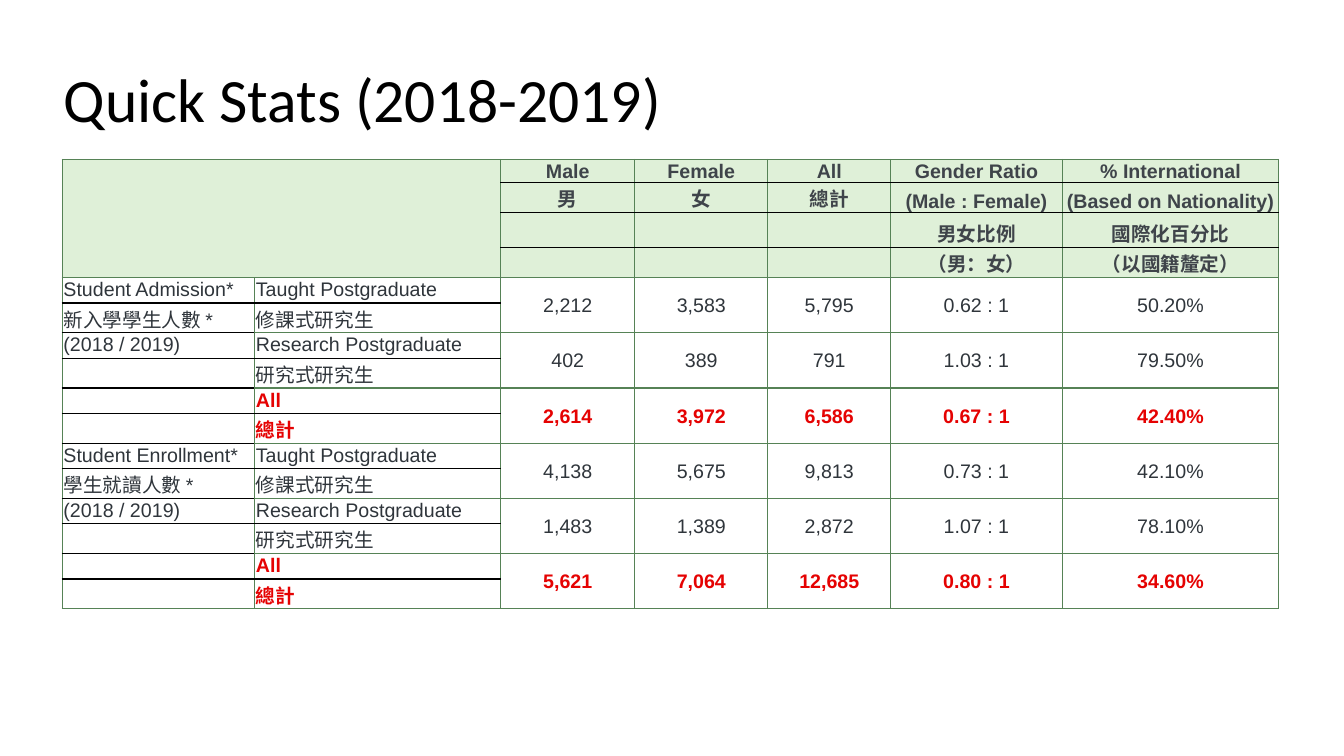
from lxml import etree
from pptx import Presentation
from pptx.dml.color import RGBColor
from pptx.enum.text import MSO_ANCHOR, PP_ALIGN
from pptx.oxml.ns import qn
from pptx.util import Cm, Pt

LEFT, CENTER = PP_ALIGN.LEFT, PP_ALIGN.CENTER
TOP, MIDDLE, BOTTOM = MSO_ANCHOR.TOP, MSO_ANCHOR.MIDDLE, MSO_ANCHOR.BOTTOM
TITLE_ONLY = 5

BLACK, GREEN, PALE_GREEN = "000000", "568256", "DFF0D8"
HEADING_INK, BODY_INK, TOTAL_INK = "3F444A", "2F353B", "E50202"

HEADER_ROWS, LABEL_COLUMNS = 4, 2
COLUMN_WIDTHS = [4.85, 6.2, 3.38, 3.35, 3.1, 4.32, 5.46]
HEADER_HEIGHTS = [0.56, 0.74, 0.88, 0.76]
PAIR_HEIGHTS = [0.64, 0.74]

HEADINGS = [
    ["Male", "Female", "All", "Gender Ratio", "% International"],
    ["男", "女", "總計", "(Male : Female)", "(Based on Nationality)"],
    ["", "", "", "男女比例", "國際化百分比"],
    ["", "", "", "（男：女）", "（以國籍釐定）"],
]
LEVELS = [
    ("Taught Postgraduate", "修課式研究生"),
    ("Research Postgraduate", "研究式研究生"),
    ("All", "總計"),
]
GROUPS = [
    (["Student Admission*", "新入學學生人數 *", "(2018 / 2019)"], [
        ["2,212", "3,583", "5,795", "0.62 : 1", "50.20%"],
        ["402", "389", "791", "1.03 : 1", "79.50%"],
        ["2,614", "3,972", "6,586", "0.67 : 1", "42.40%"],
    ]),
    (["Student Enrollment*", "學生就讀人數 *", "(2018 / 2019)"], [
        ["4,138", "5,675", "9,813", "0.73 : 1", "42.10%"],
        ["1,483", "1,389", "2,872", "1.07 : 1", "78.10%"],
        ["5,621", "7,064", "12,685", "0.80 : 1", "34.60%"],
    ]),
]


def color(value):
    return RGBColor.from_string(value)


def apply(target, formats):
    for name, value in formats.items():
        setattr(target, name, value)


def stats_rows():
    """Return the table's text, row by row."""
    rows = [["", ""] + headings for headings in HEADINGS]
    for names, values in GROUPS:
        names = names + [""] * (2 * len(LEVELS) - len(names))
        for index, (english, chinese) in enumerate(LEVELS):
            rows.append([names[2 * index], english] + values[index])
            rows.append([names[2 * index + 1], chinese] + [""] * len(values[index]))
    return rows


def line_below(row, column, last_row):
    """Return the colour of the rule under a cell."""
    if column >= LABEL_COLUMNS:
        black = 0 <= row < HEADER_ROWS - 1
    elif column == 0:
        black = HEADER_ROWS <= row < last_row
    else:
        black = row >= HEADER_ROWS and row % 2 == 0
    return BLACK if black else GREEN


class StatsPage:
    def __init__(self, deck):
        self.page = deck.slides.add_slide(deck.slide_layouts[TITLE_ONLY])
        self.title_font = {"name": "Calibri", "size": Pt(44)}
        self.cell_font = {"name": "Arial", "size": Pt(14)}
        self.margins = {"margin_left": Cm(0.03), "margin_right": Cm(0.03),
                        "margin_top": Cm(0.03), "margin_bottom": 0}

    def title(self, text, left, top, width, height):
        box = self.page.shapes.title
        apply(box, {"left": Cm(left), "top": Cm(top),
                    "width": Cm(width), "height": Cm(height)})
        box.text_frame.vertical_anchor = MIDDLE
        para = box.text_frame.paragraphs[0]
        apply(para, {"alignment": LEFT, "line_spacing": 0.9})
        self.span(para, text, self.title_font, BLACK)

    def span(self, para, text, formats, ink):
        span = para.add_run()
        span.text = text
        apply(span.font, formats)
        span.font.color.rgb = color(ink)

    def table(self, rows, left, top, widths, heights):
        table = self.page.shapes.add_table(
            len(rows), len(widths), Cm(left), Cm(top),
            Cm(sum(widths)), Cm(sum(heights))).table
        apply(table, {"first_row": False, "horz_banding": False})
        for column, width in zip(table.columns, widths):
            column.width = Cm(width)
        for row, height in zip(table.rows, heights):
            row.height = Cm(height)
        for row, texts in enumerate(rows):
            for column, text in enumerate(texts):
                cell = table.cell(row, column)
                self.cell(cell, text, row, column)
                self.borders(cell, {
                    "L": GREEN, "R": GREEN,
                    "T": line_below(row - 1, column, len(rows) - 1),
                    "B": line_below(row, column, len(rows) - 1)})
        return table

    def cell(self, cell, text, row, column):
        header = row < HEADER_ROWS
        label = not header and column < LABEL_COLUMNS
        total = not header and column > 0 and (row - HEADER_ROWS) // 2 % len(LEVELS) == 2
        apply(cell, self.margins)
        cell.vertical_anchor = BOTTOM if header else TOP if label else MIDDLE
        if header:
            cell.fill.solid()
            cell.fill.fore_color.rgb = color(PALE_GREEN)
        else:
            cell.fill.background()
        para = cell.text_frame.paragraphs[0]
        para.alignment = LEFT if label else CENTER
        if text:
            ink = HEADING_INK if header else TOTAL_INK if total else BODY_INK
            self.span(para, text, {**self.cell_font, "bold": header or total}, ink)
        else:
            # A small end mark keeps an empty cell from stretching its row.
            etree.SubElement(para._p, qn("a:endParaRPr"), sz="1000")

    def borders(self, cell, sides):
        properties = cell._tc.get_or_add_tcPr()
        for position, (side, ink) in enumerate(sides.items()):
            line = etree.Element(qn("a:ln" + side), w=str(Pt(1)))
            fill = etree.SubElement(line, qn("a:solidFill"))
            etree.SubElement(fill, qn("a:srgbClr"), val=ink)
            properties.insert(position, line)


def main():
    deck = Presentation()
    deck.slide_width, deck.slide_height = Cm(33.87), Cm(19.05)
    stats = StatsPage(deck)
    stats.title("Quick Stats (2018-2019)", 1.35, 0.74, 29.21, 3.68)

    rows = stats_rows()
    pairs = (len(rows) - HEADER_ROWS) // 2
    table = stats.table(rows, 1.57, 4.02, COLUMN_WIDTHS,
                        HEADER_HEIGHTS + PAIR_HEIGHTS * pairs)
    table.cell(0, 0).merge(table.cell(HEADER_ROWS - 1, LABEL_COLUMNS - 1))
    for row in range(HEADER_ROWS, len(rows), 2):
        for column in range(LABEL_COLUMNS, len(COLUMN_WIDTHS)):
            table.cell(row, column).merge(table.cell(row + 1, column))
    deck.save("out.pptx")


if __name__ == "__main__":
    main()
